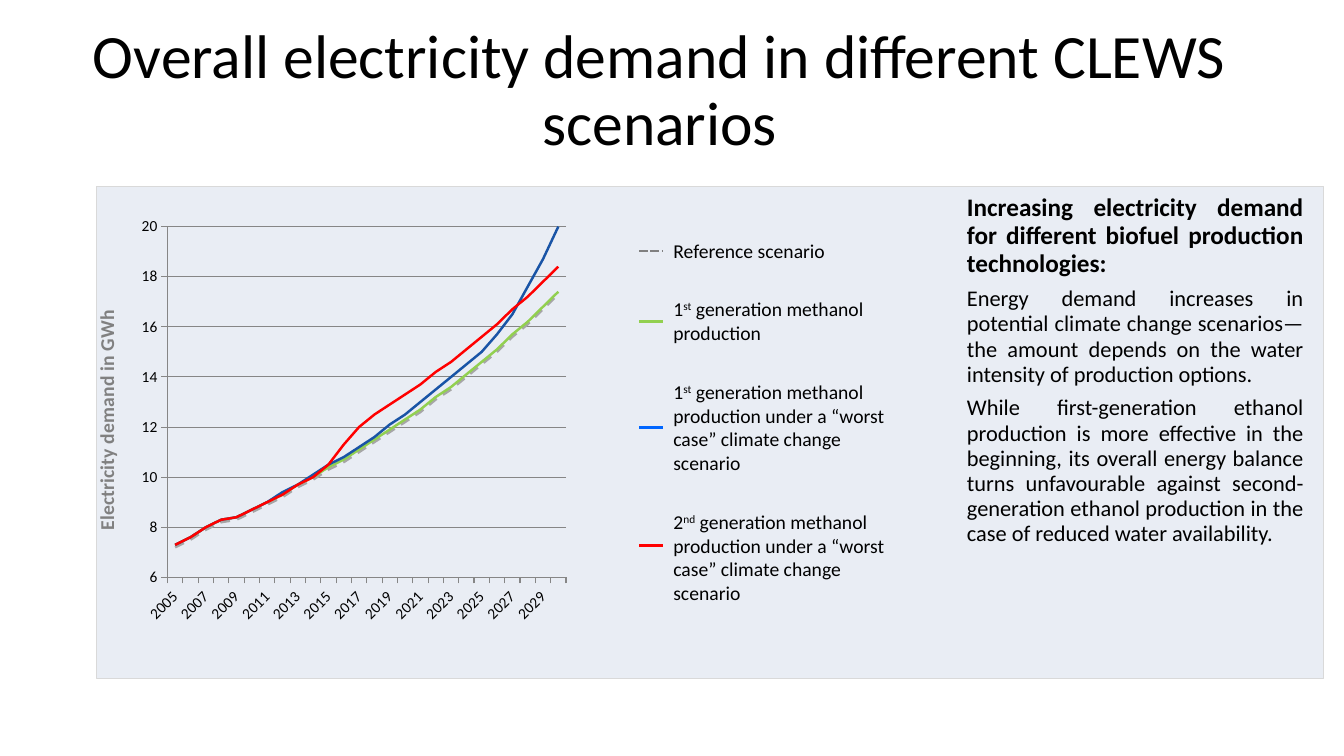
from lxml import etree
from pptx import Presentation
from pptx.chart.data import CategoryChartData
from pptx.dml.color import RGBColor
from pptx.enum.chart import XL_CHART_TYPE as CT, XL_MARKER_STYLE as MS, XL_TICK_MARK as TM
from pptx.enum.dml import MSO_LINE as DASH
from pptx.enum.shapes import MSO_CONNECTOR as CONN, MSO_SHAPE as SHAPE
from pptx.enum.text import MSO_ANCHOR as ANCHOR, MSO_AUTO_SIZE as FIT, PP_ALIGN as AL
from pptx.oxml import parse_xml
from pptx.oxml.ns import nsdecls, qn
from pptx.util import Inches, Pt

FONT = "Calibri"
AXIS_GREY = "868686"
KEY_LEFT, KEY_RIGHT = 6.34, 6.58
WORST = " generation methanol production under a “worst case” climate change scenario"

# Colour, dash and yearly demand in GWh, 2005 to 2030
SERIES = [
    ("A6A6A6", DASH.DASH, [7.2, 7.5, 7.9, 8.2, 8.3, 8.6, 8.9, 9.2, 9.6, 9.9, 10.3, 10.6, 11,
                           11.4, 11.8, 12.2, 12.6, 13.1, 13.5, 14, 14.5, 15, 15.6, 16.1, 16.7, 17.3]),
    ("92D050", None, [7.3, 7.6, 8, 8.3, 8.4, 8.7, 9, 9.3, 9.7, 10, 10.4, 10.7, 11.1,
                      11.5, 11.9, 12.3, 12.7, 13.2, 13.6, 14.1, 14.6, 15.1, 15.7, 16.2, 16.8, 17.4]),
    ("1954A6", None, [7.3, 7.6, 8, 8.3, 8.4, 8.7, 9, 9.4, 9.7, 10.1, 10.5, 10.8, 11.2,
                      11.6, 12.1, 12.5, 13, 13.5, 14, 14.5, 15, 15.7, 16.5, 17.6, 18.7, 20]),
    ("FF0000", None, [7.3, 7.6, 8, 8.3, 8.4, 8.7, 9, 9.3, 9.7, 10, 10.5, 11.3, 12,
                      12.5, 12.9, 13.3, 13.7, 14.2, 14.6, 15.1, 15.6, 16.1, 16.7, 17.2, 17.8, 18.4]),
]

# Text runs, text top, width, height, key height, colour, dash
LEGEND = [
    (["1", "st", " generation methanol production"], 2.9, 2.36, 0.57, 3.19, "92D050", None),
    (["Reference scenario"], 2.32, 1.72, 0.34, 2.49, "808080", DASH.SQUARE_DOT),
    (["1", "st", WORST], 3.72, 2.36, 1.04, 4.24, "0066FF", None),
    (["2", "nd", WORST], 5.01, 2.36, 1.04, 5.41, "FF0000", None),
]

# Text, size, bold, line spacing in points
NOTES = [
    ("Increasing electricity demand for different biofuel production technologies:", 18, True, 20),
    ("Energy demand increases in potential climate change scenarios—the amount depends on "
     "the water intensity of production options.", 16, False, 18),
    ("While first-generation ethanol production is more effective in the beginning, its overall "
     "energy balance turns unfavourable against second-generation ethanol production in the "
     "case of reduced water availability.", 16, False, 18),
]


def rgb(value):
    return RGBColor.from_string(value)


def set_font(font, size, color="000000", bold=False):
    font.name, font.size, font.bold = FONT, Pt(size), bold
    font.color.rgb = rgb(color)


def set_line(line, color, width, dash=None):
    line.color.rgb = rgb(color)
    line.width = Pt(width)
    if dash is not None:
        line.dash_style = dash


def add_run(p, text, size=14, color="000000", bold=False, raised=False):
    r = p.add_run()
    r.text = text
    set_font(r.font, size, color, bold)
    if raised:
        r.font._element.set("baseline", "30000")


def add_box(shapes, left, top, width, height, wrap=True, anchor=ANCHOR.TOP, fit=FIT.NONE):
    sp = shapes.add_textbox(Inches(left), Inches(top), Inches(width), Inches(height))
    tf = sp.text_frame
    tf.word_wrap, tf.vertical_anchor, tf.auto_size = wrap, anchor, fit
    return tf


def add_panel(s):
    sp = s.shapes.add_shape(SHAPE.RECTANGLE, Inches(0.96), Inches(1.85), Inches(12.17), Inches(4.88))
    sp.shadow.inherit = False
    sp.fill.solid()
    sp.fill.fore_color.rgb = rgb("E9EDF4")
    set_line(sp.line, "D9D9D9", 1)


def style_axis(axis):
    axis.major_tick_mark, axis.minor_tick_mark = TM.OUTSIDE, TM.NONE
    set_font(axis.tick_labels.font, 11)
    set_line(axis.format.line, AXIS_GREY, 0.75)


def set_plot_area(chart, x, y, w, h):
    area = chart._chartSpace.chart.plotArea
    for old in area.findall(qn("c:layout")):
        area.remove(old)
    sizes = "".join(f'<c:{tag} val="{val}"/>' for tag, val in zip("xywh", (x, y, w, h)))
    area.insert(0, parse_xml(
        f'<c:layout {nsdecls("c")}><c:manualLayout><c:layoutTarget val="inner"/>'
        f'<c:xMode val="edge"/><c:yMode val="edge"/>{sizes}</c:manualLayout></c:layout>'))


def add_demand_chart(s):
    data = CategoryChartData()
    data.categories = [str(year) for year in range(2005, 2031)]
    for i, (_, _, values) in enumerate(SERIES, 1):
        data.add_series(f"Series {i}", values)
    chart = s.shapes.add_chart(CT.LINE, Inches(0.57), Inches(2.02), Inches(8.02), Inches(4.23),
                               data).chart
    chart.has_legend = chart.has_title = False
    set_font(chart.font, 10)
    chart.plots[0].vary_by_categories = False
    for series, (color, dash, _) in zip(chart.plots[0].series, SERIES):
        series.smooth = False
        series.marker.style = MS.NONE
        set_line(series.format.line, color, 1.75, dash)

    # Year axis: slanted labels, every second year
    years = chart.category_axis
    style_axis(years)
    years._element.find(qn("c:txPr")).find(qn("a:bodyPr")).set("rot", "-2700000")
    skip = parse_xml(f'<c:tickLblSkip {nsdecls("c")} val="2"/>')
    years._element.find(qn("c:noMultiLvlLbl")).addprevious(skip)

    # Demand axis
    demand = chart.value_axis
    style_axis(demand)
    demand.minimum_scale, demand.maximum_scale, demand.major_unit = 6, 20, 2
    demand.tick_labels.number_format = "General"
    demand.tick_labels.number_format_is_linked = False
    demand.has_major_gridlines = True
    set_line(demand.major_gridlines.format.line, AXIS_GREY, 0.75)
    tf = demand.axis_title.text_frame
    add_run(tf.paragraphs[0], "Electricity demand in GWh", 14, "808080", True)
    set_plot_area(chart, 0.136, 0.054, 0.493, 0.823)


def add_legend_entry(s, runs, top, width, height, key_y, color, dash):
    group = s.shapes.add_group_shape()
    tf = add_box(group.shapes, KEY_RIGHT, top, width, height, wrap=len(runs) > 1,
                 fit=FIT.SHAPE_TO_FIT_TEXT)
    for i, text in enumerate(runs):
        add_run(tf.paragraphs[0], text, raised=i == 1)
    key = group.shapes.add_connector(CONN.STRAIGHT, Inches(KEY_LEFT), Inches(key_y),
                                     Inches(KEY_RIGHT), Inches(key_y))
    set_line(key.line, color, 2, dash)
    etree.SubElement(key._element.spPr, qn("a:effectLst"))


def add_notes_column(s):
    tf = add_box(s.shapes, 9.55, 1.88, 3.42, 4.37)
    tf.margin_left = tf.margin_right = tf.margin_top = tf.margin_bottom = Inches(0.04)
    for i, (text, size, bold, spacing) in enumerate(NOTES):
        p = tf.add_paragraph() if i else tf.paragraphs[0]
        p.alignment, p.line_spacing, p.space_after = AL.JUSTIFY, Pt(spacing), Pt(6)
        add_run(p, text, size, bold=bold)


def add_title(s):
    p = add_box(s.shapes, 0.36, 0.44, 12.37, 1.18, anchor=ANCHOR.BOTTOM).paragraphs[0]
    p.alignment, p.line_spacing = AL.CENTER, 0.9
    add_run(p, "Overall electricity demand in different CLEWS scenarios", 44)


def main():
    prs = Presentation()
    prs.slide_width, prs.slide_height = Inches(13.33), Inches(7.5)
    s = prs.slides.add_slide(prs.slide_layouts[6])
    add_panel(s)
    add_demand_chart(s)
    add_notes_column(s)
    for entry in LEGEND:
        add_legend_entry(s, *entry)
    add_title(s)
    prs.save("out.pptx")


main()
